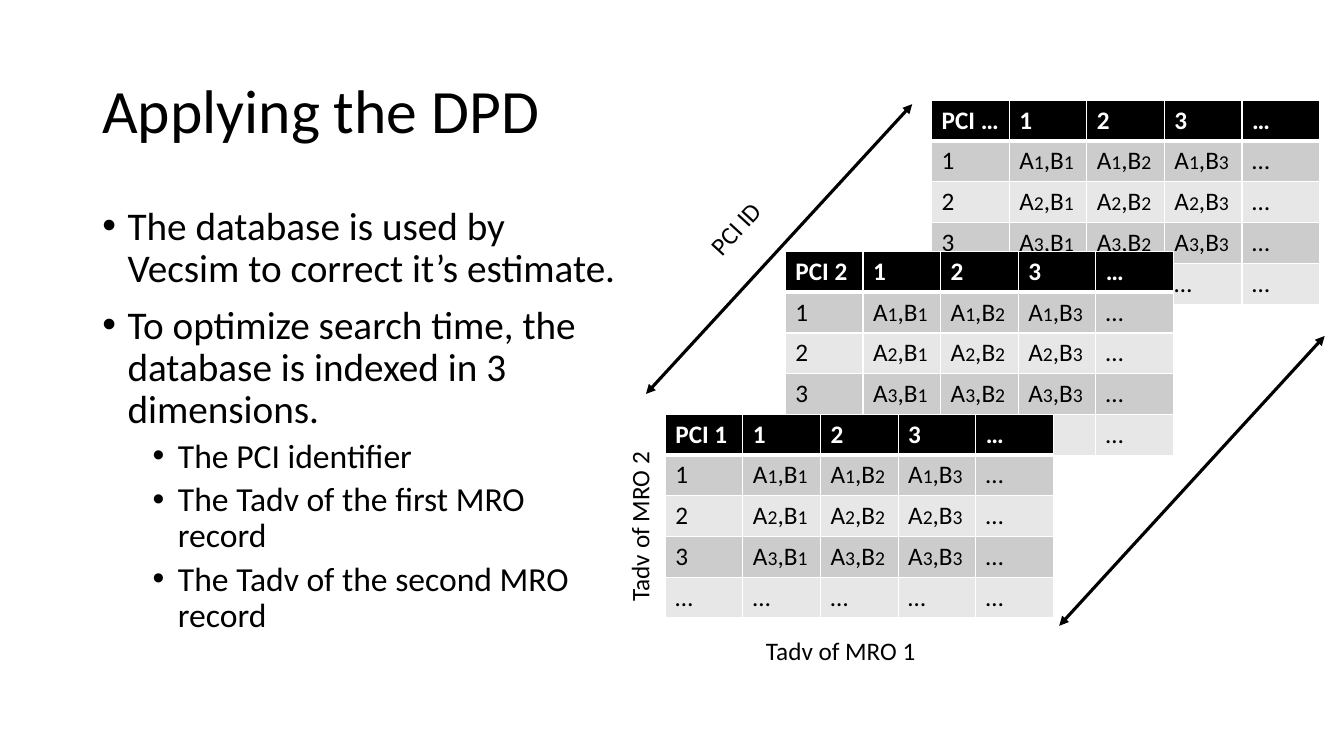
"""Build the slide on how the DPD is indexed, on a grid of 160 columns by 90 rows."""
from dataclasses import dataclass

from lxml import etree
from pptx import Presentation
from pptx.dml.color import RGBColor
from pptx.enum.shapes import MSO_CONNECTOR
from pptx.enum.text import MSO_ANCHOR, MSO_AUTO_SIZE
from pptx.oxml.ns import qn
from pptx.slide import Slide
from pptx.table import _Cell
from pptx.text.text import TextFrame, _Paragraph, _Run
from pptx.util import Inches, Length, Pt

STRAIGHT = MSO_CONNECTOR.STRAIGHT
MIDDLE = MSO_ANCHOR.MIDDLE
GROW = MSO_AUTO_SIZE.SHAPE_TO_FIT_TEXT

FONT = "Calibri"
COLORS = {"ink": "000000", "paper": "FFFFFF", "dark": "CCCCCC", "light": "E7E7E7"}
WIDE, HIGH = Inches(13.33), Inches(7.5)
COLS, ROWS = 160, 90
SIDE = 5
CELL_W, CELL_H = 9.24, 4.86


@dataclass
class Grid:
    """One index table for a PCI."""
    name: str
    col: float
    row: float


@dataclass
class Label:
    """A short axis caption."""
    text: str
    col: float
    row: float
    width: float
    turn: float = 0


@dataclass
class Arrow:
    """A double-headed line."""
    start: tuple[float, float]
    end: tuple[float, float]


@dataclass
class Point:
    """A bullet at a level of the list."""
    text: str
    level: int = 0


BACK = [Grid("PCI …", 110.9, 11.9), Grid("PCI 2", 93.5, 29.9)]
FRONT = Grid("PCI 1", 79.2, 49.3)
LABELS = [
    Label("Tadv of MRO 1", 90, 75, 20.4),
    Label("Tadv of MRO 2", 65.9, 60.2, 20.4, 270),
    Label("PCI ID", 82.7, 24.7, 9.7, 312.5),
]
ARROWS = [
    Arrow((76.9, 46.9), (108.6, 12.4)),
    Arrow((126.1, 74.5), (157.7, 40)),
]
POINTS = [
    Point("The database is used by Vecsim to correct it’s estimate."),
    Point("To optimize search time, the database is indexed in 3 dimensions."),
    Point("The PCI identifier", 1),
    Point("The Tadv of the first MRO record", 1),
    Point("The Tadv of the second MRO record", 1),
]


def across(cols: float) -> Length:
    """Turn columns into a length."""
    return Length(round(WIDE * cols / COLS))


def down(rows: float) -> Length:
    """Turn rows into a length."""
    return Length(round(HIGH * rows / ROWS))


def paint(run: _Run, size: float, color: str = "ink", bold: bool = False) -> None:
    """Give a run its font."""
    run.font.name, run.font.size, run.font.bold = FONT, Pt(size), bold
    run.font.color.rgb = RGBColor.from_string(COLORS[color])


def add_box(slide: Slide, col: float, row: float, width: float, height: float) -> TextFrame:
    """Add a wrapping text box and return its frame."""
    box = slide.shapes.add_textbox(across(col), down(row), across(width), down(height))
    box.text_frame.word_wrap = True
    return box.text_frame


def add_edges(cell: _Cell, top: float, bottom: float) -> None:
    """Draw white borders round a cell."""
    props = cell._tc.get_or_add_tcPr()
    for tag, width in (("lnL", 1), ("lnR", 1), ("lnT", top), ("lnB", bottom)):
        line = etree.SubElement(props, qn(f"a:{tag}"), w=str(Pt(width)))
        fill = etree.SubElement(line, qn("a:solidFill"))
        etree.SubElement(fill, qn("a:srgbClr"), val=COLORS["paper"])


def cell_parts(name: str, row: int, col: int) -> list[str]:
    """Split a cell's text into large and small parts in turn."""
    heads = ["", "1", "2", "3", "…"]
    if row == 0:
        return [heads[col] or name]
    if col == 0:
        return [heads[row]]
    if SIDE - 1 in (row, col):
        return ["…"]
    return ["A", str(row), ",B", str(col)]


def add_grid(slide: Slide, grid: Grid) -> None:
    """Add one index table."""
    table = slide.shapes.add_table(
        SIDE, SIDE, across(grid.col), down(grid.row),
        across(SIDE * CELL_W), down(SIDE * CELL_H)).table
    table.horz_banding = False
    for col in table.columns:
        col.width = across(CELL_W)
    for row in table.rows:
        row.height = down(CELL_H)
    for i in range(SIDE):
        shade = "ink" if i == 0 else "dark" if i % 2 else "light"
        for j in range(SIDE):
            cell = table.cell(i, j)
            add_edges(cell, 3 if i == 1 else 1, 3 if i == 0 else 1)
            cell.fill.solid()
            cell.fill.fore_color.rgb = RGBColor.from_string(COLORS[shade])
            para = cell.text_frame.paragraphs[0]
            for k, part in enumerate(cell_parts(grid.name, i, j)):
                run = para.add_run()
                run.text = part
                paint(run, 14 if k % 2 else 18, "paper" if i == 0 else "ink", i == 0)


def add_title(slide: Slide, text: str) -> None:
    """Add the heading."""
    frame = add_box(slide, 11, 4.8, 138, 17.4)
    frame.text, frame.vertical_anchor = text, MIDDLE
    frame.paragraphs[0].line_spacing = 0.9
    paint(frame.paragraphs[0].runs[0], 44)


def add_bullet(para: _Paragraph, level: int) -> None:
    """Set a paragraph's indent and bullet."""
    props = para._p.get_or_add_pPr()
    props.set("marL", str(Inches(0.25 + 0.5 * level)))
    props.set("indent", str(Inches(-0.25)))
    etree.SubElement(props, qn("a:buFont"), typeface="Arial")
    etree.SubElement(props, qn("a:buChar"), char="•")


def add_points(slide: Slide) -> None:
    """Add the bulleted list."""
    frame = add_box(slide, 11, 24, 64, 57.1)
    frame.text = "\n".join(point.text for point in POINTS)
    for i, (para, point) in enumerate(zip(frame.paragraphs, POINTS)):
        add_bullet(para, point.level)
        para.level, para.line_spacing = point.level, 0.9
        if i:
            para.space_before = Pt(5 if point.level else 10)
        paint(para.runs[0], 24 if point.level else 28)


def add_label(slide: Slide, label: Label) -> None:
    """Add an axis caption."""
    box = slide.shapes.add_textbox(
        across(label.col), down(label.row), across(label.width), down(4.8))
    box.rotation = label.turn
    frame = box.text_frame
    frame.text, frame.word_wrap, frame.auto_size = label.text, False, GROW
    paint(frame.paragraphs[0].runs[0], 18)


def add_arrow(slide: Slide, arrow: Arrow) -> None:
    """Add a line with a head at each end."""
    (x1, y1), (x2, y2) = arrow.start, arrow.end
    link = slide.shapes.add_connector(STRAIGHT, across(x1), down(y1), across(x2), down(y2))
    link.line.color.rgb = RGBColor.from_string(COLORS["ink"])
    link.line.width = Pt(2.25)
    props = link._element.spPr
    for tag in ("headEnd", "tailEnd"):
        etree.SubElement(props.find(qn("a:ln")), qn(f"a:{tag}"), type="triangle")
    etree.SubElement(props, qn("a:effectLst"))


def main() -> None:
    """Build and save the slide."""
    deck = Presentation()
    deck.slide_width, deck.slide_height = WIDE, HIGH
    slide = deck.slides.add_slide(deck.slide_layouts[6])
    for grid in BACK:
        add_grid(slide, grid)
    add_title(slide, "Applying the DPD")
    add_points(slide)
    add_grid(slide, FRONT)
    for label in LABELS:
        add_label(slide, label)
    for arrow in ARROWS:
        add_arrow(slide, arrow)
    deck.save("out.pptx")


if __name__ == "__main__":
    main()
